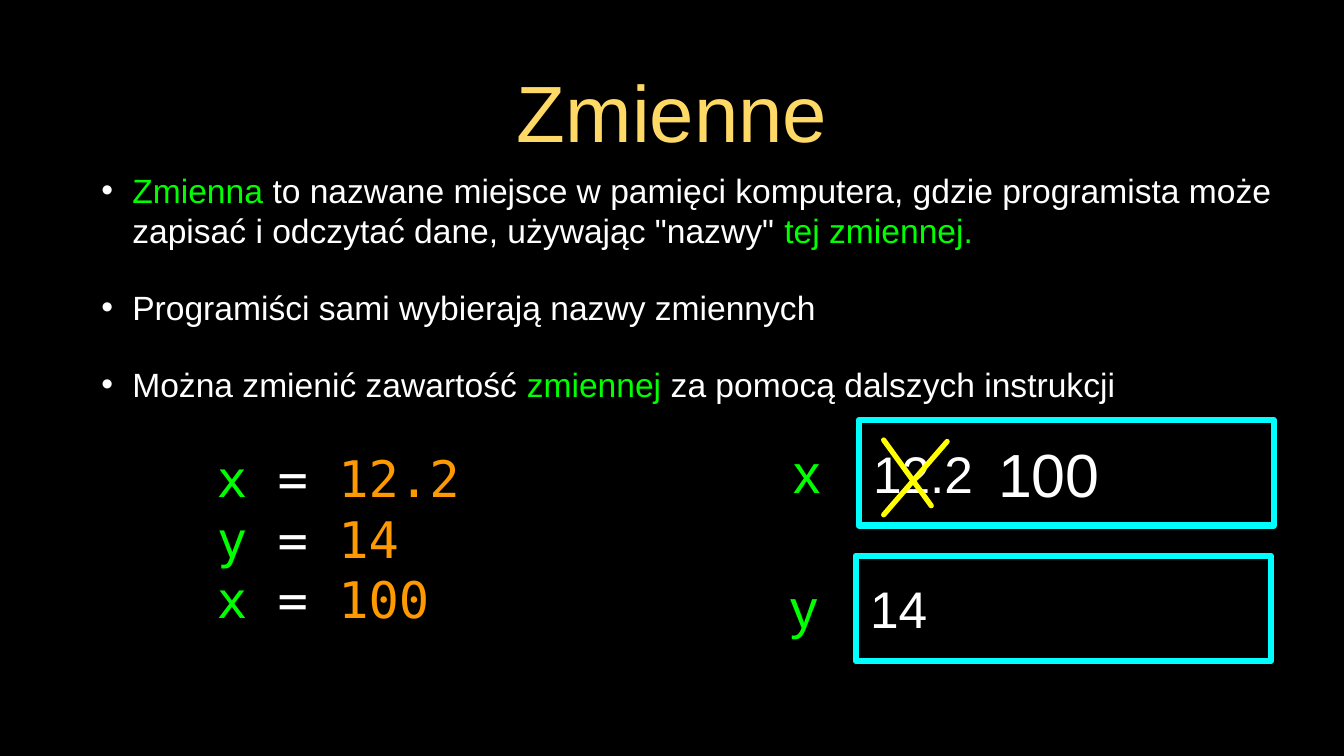
"""Build the slide about variables, with its code sample and memory boxes."""
from lxml import etree
from pptx import Presentation
from pptx.dml.color import RGBColor
from pptx.enum.shapes import MSO_CONNECTOR, MSO_SHAPE
from pptx.enum.text import MSO_ANCHOR, MSO_AUTO_SIZE, PP_ALIGN
from pptx.oxml.ns import qn
from pptx.util import Inches, Pt

BLACK = RGBColor(0, 0, 0)
WHITE = RGBColor(255, 255, 255)
GOLD = RGBColor(0xFF, 0xD9, 0x66)
GREEN = RGBColor(0, 255, 0)
ORANGE = RGBColor(0xFF, 0x99, 0)
CYAN = RGBColor(0, 255, 255)
YELLOW = RGBColor(255, 255, 0)
SANS, MONO = "Arial", "DejaVu Sans Mono"
LEFT, CENTER = PP_ALIGN.LEFT, PP_ALIGN.CENTER
MIDDLE, NO_FIT = MSO_ANCHOR.MIDDLE, MSO_AUTO_SIZE.NONE
RECTANGLE, STRAIGHT = MSO_SHAPE.RECTANGLE, MSO_CONNECTOR.STRAIGHT

BULLETS = [
    [("Zmienna", GREEN),
     (" to nazwane miejsce w pamięci komputera, gdzie programista może "
      "zapisać i odczytać dane, używając \"nazwy\" ", WHITE),
     ("tej zmiennej.", GREEN)],
    [("Programiści sami wybierają nazwy zmiennych", WHITE)],
    [("Można zmienić zawartość ", WHITE), ("zmiennej ", GREEN),
     ("za pomocą dalszych instrukcji", WHITE)],
]
ASSIGNMENTS = [("x", "12.2"), ("y", "14"), ("x", "100")]


def write(box, paragraphs, size, font=SANS, align=LEFT, margin=0):
    """Fill a shape with paragraphs of (text, colour) runs."""
    frame = box.text_frame
    frame.word_wrap = True
    frame.auto_size = NO_FIT
    frame.vertical_anchor = MIDDLE
    frame.margin_left = frame.margin_right = Inches(margin)
    frame.margin_top = frame.margin_bottom = Inches(margin)
    for index, spans in enumerate(paragraphs):
        para = frame.add_paragraph() if index else frame.paragraphs[0]
        para.alignment = align
        para.space_before = Pt(0)
        for text, color in spans:
            span = para.add_run()
            span.text = text
            span.font.size = Pt(size)
            span.font.name = font
            span.font.color.rgb = color


def place(box, left, top, width, height):
    """Move and size a placeholder."""
    box.left, box.top = Inches(left), Inches(top)
    box.width, box.height = Inches(width), Inches(height)


def add_bullet(para):
    """Give a paragraph a white hanging bullet."""
    props = para._p.get_or_add_pPr()
    props.set("marL", str(Inches(0.82)))
    props.set("indent", str(Inches(-0.41)))
    color = etree.SubElement(props, qn("a:buClr"))
    etree.SubElement(color, qn("a:srgbClr"), val=str(WHITE))
    etree.SubElement(props, qn("a:buFont"), typeface=SANS)
    etree.SubElement(props, qn("a:buChar"), char="•")


def add_label(page, area, paragraphs, size, font=SANS, align=CENTER):
    """Add a text box."""
    box = page.shapes.add_textbox(*map(Inches, area))
    write(box, paragraphs, size, font, align)


def add_variable(page, name, value, name_left, box_left, top):
    """Add a variable name beside its memory box."""
    box = page.shapes.add_shape(RECTANGLE, Inches(box_left), Inches(top),
                                Inches(5.49), Inches(1.39))
    box.shadow.inherit = False
    box.fill.background()
    box.line.color.rgb = CYAN
    box.line.width = Pt(6)
    write(box, [[(value, WHITE)]], 49)
    box.text_frame.margin_left = Inches(0.19)
    add_label(page, (name_left, top + 0.21, 0.49, 0.94), [[(name, GREEN)]], 52)


def add_cross(page, strokes):
    """Add grouped round-ended strokes that cross out a value."""
    group = page.shapes.add_group_shape()
    for ends in strokes:
        stroke = group.shapes.add_connector(STRAIGHT, *map(Inches, ends))
        stroke.line.color.rgb = YELLOW
        stroke.line.width = Pt(5)
        stroke.line._get_or_add_ln().set("cap", "rnd")
        etree.SubElement(stroke._element.spPr, qn("a:effectLst"))


def main():
    """Build and save the deck."""
    deck = Presentation()
    deck.slide_width, deck.slide_height = Inches(17.78), Inches(10)
    page = deck.slides.add_slide(deck.slide_layouts[1])
    page.background.fill.solid()
    page.background.fill.fore_color.rgb = BLACK

    title, body = page.placeholders
    place(title, 0.89, 0.86, 16, 1.21)
    write(title, [[("Zmienne", GOLD)]], 76, align=CENTER, margin=0.04)
    place(body, 0.89, 2.33, 16, 2.93)
    write(body, BULLETS, 32, margin=0.04)
    for index, para in enumerate(body.text_frame.paragraphs):
        para.space_before = Pt(35 if index else 0)
        add_bullet(para)

    add_variable(page, "x", "12.2", 10.43, 11.36, 5.56)
    add_variable(page, "y", "14", 10.39, 11.32, 7.35)
    add_cross(page, [(12.53, 5.84, 11.69, 6.81), (11.69, 5.82, 12.32, 6.69)])
    add_label(page, (12.96, 5.75, 1.83, 1.03), [[("100", WHITE)]], 58)
    code = [[(name + " ", GREEN), ("= ", WHITE), (value, ORANGE)]
            for name, value in ASSIGNMENTS]
    add_label(page, (2.87, 5.81, 4.42, 2.61), code, 48, MONO, LEFT)
    deck.save("out.pptx")


main()
